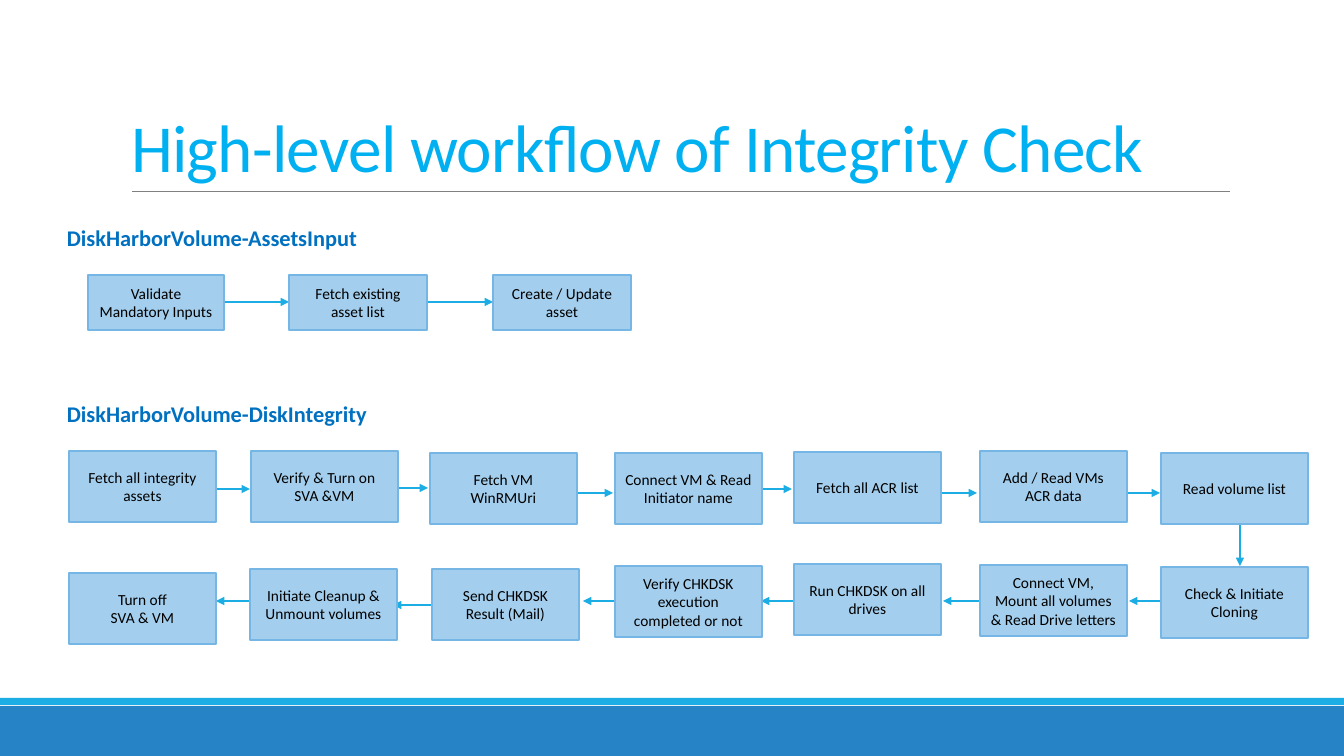
from typing import NamedTuple

from lxml.etree import SubElement
from pptx import Presentation
from pptx.dml.color import RGBColor
from pptx.enum.shapes import MSO_CONNECTOR, MSO_SHAPE
from pptx.enum.text import MSO_ANCHOR, MSO_AUTO_SIZE, PP_ALIGN
from pptx.oxml.ns import qn
from pptx.util import Pt

PX = 914400 / 100.8
FONT = "Calibri"
BLACK = RGBColor(0x00, 0x00, 0x00)
GRAY = RGBColor(0x80, 0x80, 0x80)
TITLE_BLUE = RGBColor(0x00, 0xB0, 0xF0)
HEADING_BLUE = RGBColor(0x00, 0x70, 0xC0)
BAND_BLUE = RGBColor(0x26, 0x83, 0xC6)
ACCENT = RGBColor(0x1C, 0xAD, 0xE4)
BOX_FILL = RGBColor(0xA3, 0xCE, 0xED)
BOX_LINE = RGBColor(0x75, 0xB6, 0xE5)
STEP_W, STEP_H = 147, 71
ARROW = 66


class Rect(NamedTuple):
    x: int
    y: int
    w: int
    h: int


class Step(NamedTuple):
    rect: Rect
    lines: tuple[str, ...]


class Line(NamedTuple):
    x1: int
    y1: int
    x2: int
    y2: int


class Heading(NamedTuple):
    rect: Rect
    text: str


def step(x: int, y: int, *lines: str) -> Step:
    return Step(Rect(x, y, STEP_W, STEP_H), lines)


def emu(*pixels: int) -> list[int]:
    return [round(v * PX) for v in pixels]


def add_run(p, text: str, size: int, color: RGBColor, bold: bool = False):
    r = p.add_run()
    r.text = text
    r.font.name = FONT
    r.font.size = Pt(size)
    r.font.bold = bold
    r.font.color.rgb = color
    return r


def add_rect(s, rect: Rect, fill: RGBColor, line: RGBColor | None = None):
    sp = s.shapes.add_shape(MSO_SHAPE.RECTANGLE, *emu(*rect))
    sp.shadow.inherit = False
    sp.fill.solid()
    sp.fill.fore_color.rgb = fill
    if line is None:
        sp.line.fill.background()
    else:
        sp.line.color.rgb = line
        sp.line.width = Pt(1.25)
    return sp


def add_step(s, item: Step) -> None:
    tf = add_rect(s, item.rect, BOX_FILL, BOX_LINE).text_frame
    tf.word_wrap = True
    tf.vertical_anchor = MSO_ANCHOR.MIDDLE
    for i, text in enumerate(item.lines):
        p = tf.add_paragraph() if i else tf.paragraphs[0]
        p.alignment = PP_ALIGN.CENTER
        add_run(p, text, 11, BLACK)


def add_line(s, line: Line, color: RGBColor, width: float, arrow: bool) -> None:
    cn = s.shapes.add_connector(MSO_CONNECTOR.STRAIGHT, *emu(*line))
    cn.line.color.rgb = color
    cn.line.width = Pt(width)
    if arrow:
        SubElement(cn.line._get_or_add_ln(), qn("a:tailEnd"), type="triangle")
    SubElement(cn._element.spPr, qn("a:effectLst"))


def add_heading(s, heading: Heading) -> None:
    tf = s.shapes.add_textbox(*emu(*heading.rect)).text_frame
    tf.word_wrap = False
    tf.auto_size = MSO_AUTO_SIZE.SHAPE_TO_FIT_TEXT
    add_run(tf.paragraphs[0], heading.text, 16, HEADING_BLUE, True)


def add_title(s, rect: Rect, text: str) -> None:
    sp = s.shapes.title
    sp.left, sp.top, sp.width, sp.height = emu(*rect)
    tf = sp.text_frame
    tf.word_wrap = True
    tf.auto_size = MSO_AUTO_SIZE.NONE
    tf.vertical_anchor = MSO_ANCHOR.BOTTOM
    p = tf.paragraphs[0]
    p.alignment = PP_ALIGN.LEFT
    p.line_spacing = 0.85
    r = add_run(p, text, 48, TITLE_BLUE)
    r.font._element.set("spc", "-50")


HEADINGS = [
    Heading(Rect(57, 219, 311, 37), "DiskHarborVolume-AssetsInput"),
    Heading(Rect(57, 395, 326, 37), "DiskHarborVolume-DiskIntegrity"),
]
STEPS = [
    Step(Rect(88, 275, 136, 55), ("Validate Mandatory Inputs",)),
    Step(Rect(289, 275, 138, 55), ("Fetch existing asset list",)),
    Step(Rect(493, 275, 138, 55), ("Create / Update asset",)),
    step(69, 451, "Fetch all integrity assets"),
    step(251, 451, "Verify & Turn on SVA &VM"),
    step(430, 453, "Fetch VM WinRMUri"),
    step(615, 453, "Connect VM & Read Initiator name"),
    step(794, 452, "Fetch all ACR list"),
    step(980, 451, "Add / Read VMs", "ACR data"),
    step(1161, 453, "Read volume list"),
    step(1161, 567, "Check & Initiate Cloning"),
    step(980, 565, "Connect VM, Mount all volumes & Read Drive letters"),
    step(794, 564, "Run CHKDSK on all drives"),
    step(615, 566, "Verify CHKDSK execution completed or not"),
    step(432, 569, "Send CHKDSK Result (Mail)"),
    step(250, 569, "Initiate Cleanup & Unmount volumes"),
    step(69, 573, "Turn off", "SVA & VM"),
]
RIGHT_TIPS = [(289, 302), (493, 302), (250, 489), (428, 488), (613, 493),
              (792, 489), (977, 493), (1160, 493)]
LEFT_TIPS = [(1129, 601), (943, 601), (761, 601), (583, 601), (393, 605), (216, 601)]
ARROWS = [Line(x - ARROW, y, x, y) for x, y in RIGHT_TIPS]
ARROWS += [Line(x + ARROW, y, x, y) for x, y in LEFT_TIPS]
ARROWS.append(Line(1240, 516, 1240, 566))

prs = Presentation()
prs.slide_width, prs.slide_height = emu(1344, 756)
s = prs.slides.add_slide(prs.slide_layouts[5])
add_rect(s, Rect(0, 706, 1344, 50), BAND_BLUE)
add_rect(s, Rect(0, 698, 1344, 7), ACCENT)
add_line(s, Line(132, 191, 1230, 191), GRAY, 0.5, False)
add_title(s, Rect(121, 31, 1109, 160), "High-level workflow of Integrity Check")
for heading in HEADINGS:
    add_heading(s, heading)
for arrow in ARROWS:
    add_line(s, arrow, ACCENT, 1, True)
for item in STEPS:
    add_step(s, item)
prs.save("out.pptx")
